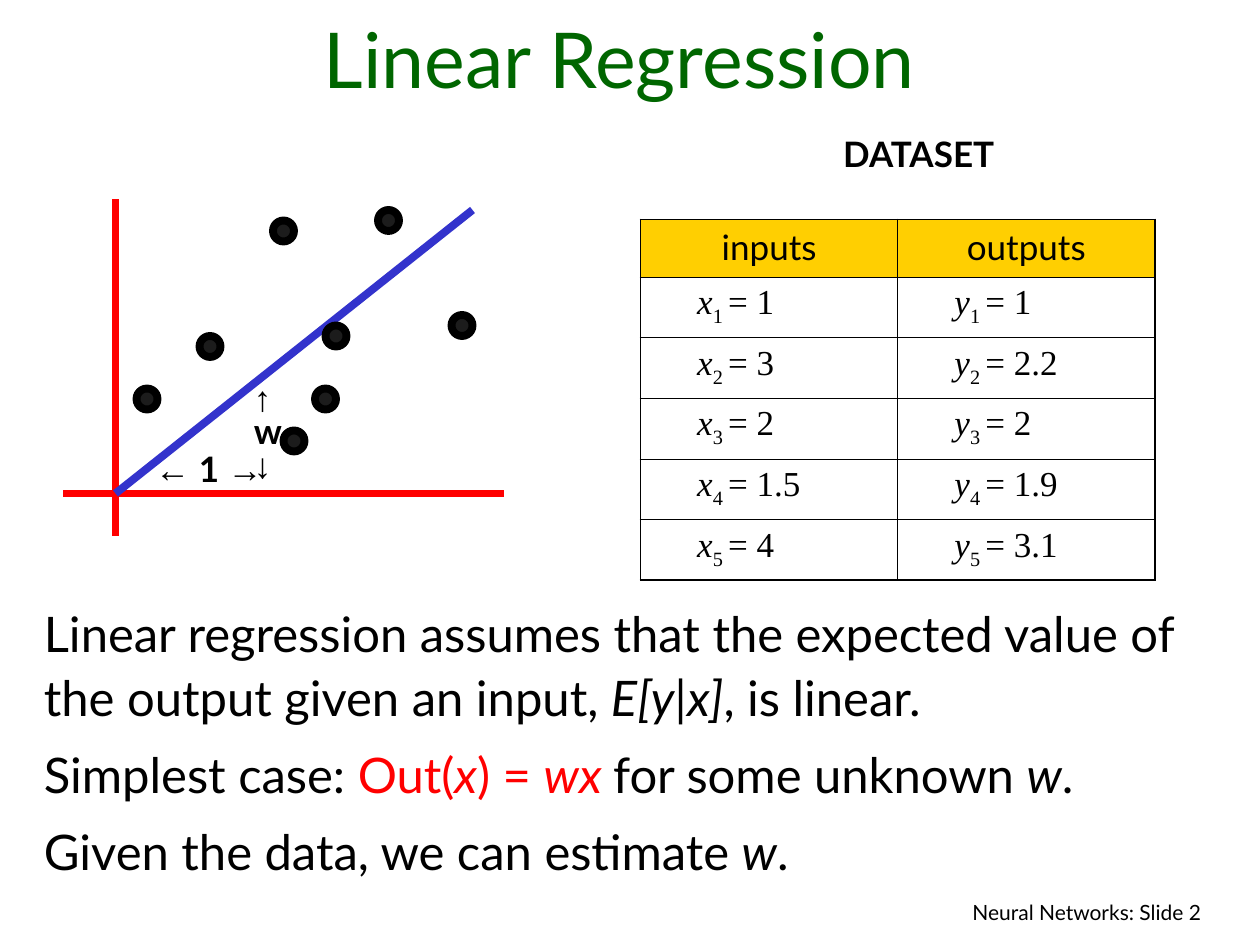
from collections import namedtuple

from lxml import etree
from pptx import Presentation
from pptx import util as u
from pptx.dml.color import RGBColor
from pptx.enum import shapes, text
from pptx.oxml import ns

COLORS = {"title": "006600", "ink": "000000", "header": "FFCF01", "accent": "FF0000",
          "fit": "3333CC", "point": "1C1C1C"}
COLUMNS, ROWS = 120, 90
UNIT = u.Inches(10) / COLUMNS
Box = namedtuple("Box", "left top width height")
LEFT, CENTER, RIGHT = text.PP_ALIGN.LEFT, text.PP_ALIGN.CENTER, text.PP_ALIGN.RIGHT


def grid(*values):
    return [u.Emu(round(value * UNIT)) for value in values]


def rgb(name):
    return RGBColor.from_string(COLORS[name])


def within(box, left, top, width, height):
    return Box(box.left + left, box.top + top, width, height)


def add_run(paragraph, words, size, font="Lato", color="ink", bold=False, italic=False, subscript=False):
    run = paragraph.add_run()
    run.text = words
    run.font.name, run.font.size = font, u.Pt(size)
    run.font.bold, run.font.italic = bold, italic
    run.font.color.rgb = rgb(color)
    if subscript:
        run.font._element.set("baseline", "-25000")


def add_text(slide, box, paragraphs, size, align=LEFT, spacing=1.0, gap=0, **style):
    frame = slide.shapes.add_textbox(*grid(*box)).text_frame
    frame.word_wrap = True
    for index, runs in enumerate(paragraphs):
        paragraph = frame.paragraphs[0] if index == 0 else frame.add_paragraph()
        paragraph.alignment, paragraph.line_spacing = align, spacing
        paragraph.space_before = u.Pt(gap if index else 0)
        for words, changes in runs:
            add_run(paragraph, words, size, **{**style, **changes})


def place_title(slide, box):
    title = slide.shapes.title
    title.left, title.top, title.width, title.height = grid(*box)
    frame = title.text_frame
    frame.auto_size = text.MSO_AUTO_SIZE.NONE
    frame.vertical_anchor = text.MSO_ANCHOR.BOTTOM
    paragraph = frame.paragraphs[0]
    paragraph.alignment = CENTER
    add_run(paragraph, "Linear Regression", 44, color="title")


def add_line(slide, box, start, end, color):
    points = grid(box.left + start[0], box.top + start[1], box.left + end[0], box.top + end[1])
    line = slide.shapes.add_connector(shapes.MSO_CONNECTOR.STRAIGHT, *points)
    line.line.color.rgb, line.line.width = rgb(color), u.Pt(4.5)
    etree.SubElement(line._element.spPr, ns.qn("a:effectLst"))


def draw_plot(slide, box):
    origin_x, origin_y, diameter = 5, 28, 2
    add_line(slide, box, (origin_x, 0), (origin_x, box.height), "accent")
    add_line(slide, box, (0, origin_y), (box.width, origin_y), "accent")
    add_line(slide, box, (origin_x, origin_y), (39, 1), "fit")
    for left, top in [(20, 2), (25, 12), (13, 13), (7, 18), (21, 22), (24, 18), (30, 1), (37, 11)]:
        point = slide.shapes.add_shape(shapes.MSO_SHAPE.FLOWCHART_CONNECTOR,
                                       *grid(*within(box, left, top, diameter, diameter)))
        point.shadow.inherit = False
        point.fill.solid()
        point.fill.fore_color.rgb = rgb("point")
        point.line.color.rgb, point.line.width = rgb("ink"), u.Pt(4.5)
    arrow = {"font": "Arial"}
    add_text(slide, within(box, 7.6, 23, 20, 5.3),
             [[("←", arrow), (" 1 ", {}), ("→", arrow)]], 20, bold=True)
    add_text(slide, within(box, 17, 17, 6, 10.8),
             [[("↑", arrow)], [("w", {})], [("↓", arrow)]], 20, spacing=0.8, bold=True)


def set_borders(cell, widths):
    properties = cell._tc.get_or_add_tcPr()
    for index, (side, width) in enumerate(widths.items()):
        border = etree.Element(ns.qn(f"a:{side}"), w=str(u.Pt(width)))
        fill = etree.SubElement(border, ns.qn("a:solidFill"))
        etree.SubElement(fill, ns.qn("a:srgbClr"), val=COLORS["ink"])
        properties.insert(index, border)


def draw_dataset(slide, box):
    add_text(slide, within(box, 1, 0, 51, 5.3), [[("DATASET", {})]], 20, CENTER, bold=True)
    inputs, outputs = ["1", "3", "2", "1.5", "4"], ["1", "2.2", "2", "1.9", "3.1"]
    header, row_height = 5.48, 5.78
    last = len(inputs)
    table_box = within(box, 0, 8.9, 49, header + last * row_height)
    table = slide.shapes.add_table(last + 1, 2, *grid(*table_box)).table
    for row, height in zip(table.rows, [header] + [row_height] * last):
        row.height = grid(height)[0]
    for column, (heading, letter, values) in enumerate([("inputs", "x", inputs), ("outputs", "y", outputs)]):
        for row in range(last + 1):
            cell = table.cell(row, column)
            paragraph = cell.text_frame.paragraphs[0]
            if row == 0:
                cell.fill.solid()
                cell.fill.fore_color.rgb = rgb("header")
                paragraph.alignment = CENTER
                add_run(paragraph, heading, 20)
            else:
                cell.fill.background()
                cell.margin_left = grid(5.4)[0]
                for words, style in [(letter, {"italic": True}), (f"{row} ", {"subscript": True}),
                                     (f"= {values[row - 1]}", {})]:
                    add_run(paragraph, words, 20, "Times New Roman", **style)
            outer = {"lnL": column == 0, "lnR": column == 1, "lnT": row == 0, "lnB": row == last}
            set_borders(cell, {side: 1.08 if edge else 0.45 for side, edge in outer.items()})


def write_body(slide, box):
    italic, red = {"italic": True}, {"color": "accent"}
    paragraphs = [
        [("Linear regression assumes that the expected value of the output given an input, ", {}),
         ("E[y|x]", italic), (", is linear.", {})],
        [("Simplest case: ", {}), ("Out(", red), ("x", {**red, **italic}), (") = ", red),
         ("wx ", {**red, **italic}), ("for some unknown ", {}), ("w", italic), (".", {})],
        [("Given the data, we can estimate ", {}), ("w", italic), (".", {})],
    ]
    add_text(slide, box, paragraphs, 28, spacing=1.1, gap=7)


def write_footer(slide, box):
    add_text(slide, box, [[("Neural Networks: Slide 2", {})]], 12, RIGHT)


def main():
    presentation = Presentation()
    presentation.slide_width, presentation.slide_height = grid(COLUMNS, ROWS)
    slide = presentation.slides.add_slide(presentation.slide_layouts[5])
    write_footer(slide, Box(68.6, 85.1, 47, 4))
    place_title(slide, Box(3, 2, 112, 8.5))
    write_body(slide, Box(3, 56.3, 112.5, 28.7))
    draw_dataset(slide, Box(61, 12, 52, 43))
    draw_plot(slide, Box(6, 19, 42, 32))
    presentation.save("out.pptx")


if __name__ == "__main__":
    main()
